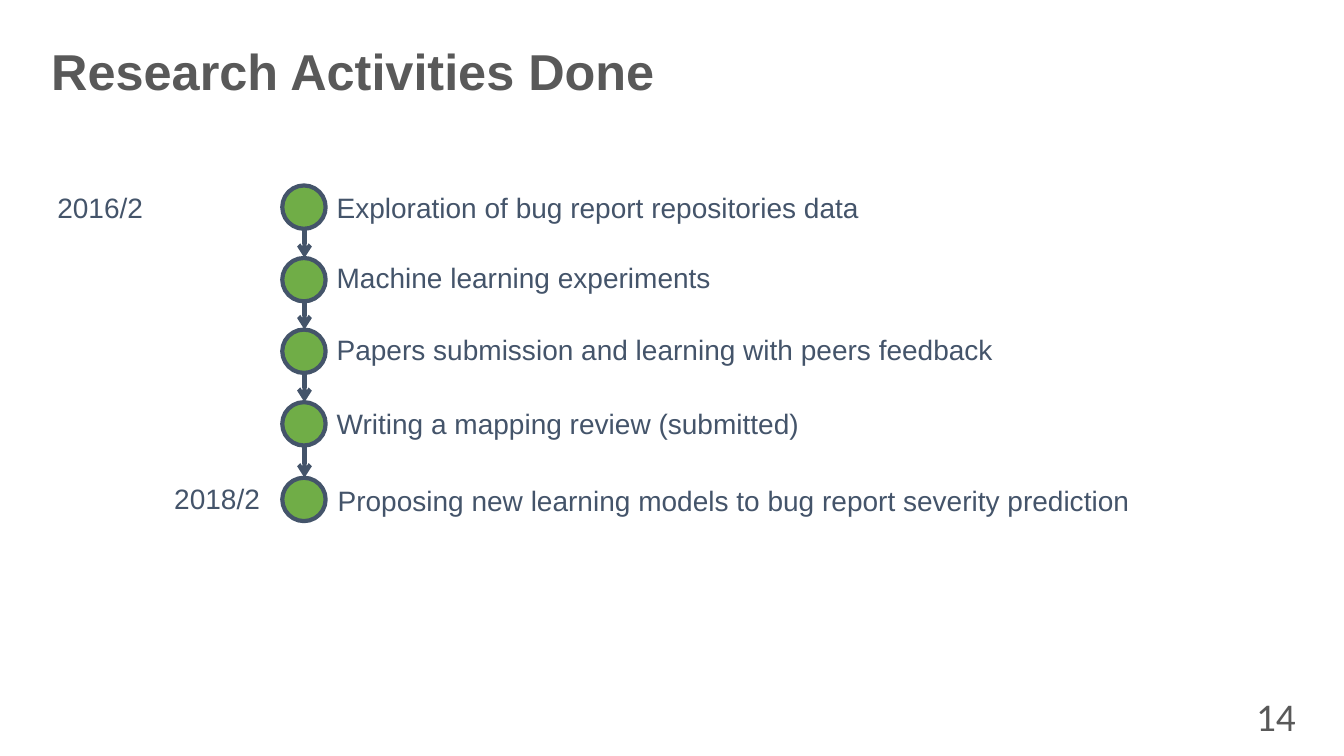
from dataclasses import dataclass
from itertools import pairwise

from lxml import etree
from pptx import Presentation
from pptx import util as u
from pptx.dml.color import RGBColor
from pptx.enum import shapes, text
from pptx.oxml.ns import qn
from pptx.slide import Slide


@dataclass(frozen=True)
class Theme:
    heading: RGBColor = RGBColor(0x59, 0x59, 0x59)
    ink: RGBColor = RGBColor(0x44, 0x54, 0x6A)
    done: RGBColor = RGBColor(0x70, 0xAD, 0x47)
    title_size: int = 36
    body_size: int = 20
    number_size: int = 28
    body_font: str = "Arial"
    number_font: str = "Calibri"
    line_width: int = 3


@dataclass(frozen=True)
class Label:
    words: str
    left: float
    top: float
    width: float
    height: float = 0.44
    size: int = Theme.body_size
    color: RGBColor = Theme.ink
    font: str = Theme.body_font
    bold: bool = False
    wrap: bool = False
    anchor: text.MSO_ANCHOR = text.MSO_ANCHOR.TOP
    align: text.PP_ALIGN = text.PP_ALIGN.LEFT
    spacing: float = 1.0


@dataclass(frozen=True)
class Milestone:
    top: float
    label: Label


THEME = Theme()
NODE_LEFT = 2.8
NODE_SIZE = 0.43
NODE_CENTER = 3.02
LABEL_LEFT = 3.24

MILESTONES = [
    Milestone(1.84, Label("Exploration of bug report repositories data", LABEL_LEFT, 1.84, 5.42)),
    Milestone(2.56, Label("Machine learning experiments", LABEL_LEFT, 2.54, 3.94)),
    Milestone(3.27, Label("Papers submission and learning with peers feedback", LABEL_LEFT, 3.25, 6.84)),
    Milestone(3.99, Label("Writing a mapping review (submitted)", LABEL_LEFT, 3.98, 4.9)),
    Milestone(4.74, Label("Proposing new learning models to bug report severity prediction", 3.25, 4.75, 8.24)),
]

TITLE = Label(
    "Research Activities Done", 0.41, 0.4, 12.01, 0.67, THEME.title_size, THEME.heading,
    bold=True, wrap=True, anchor=text.MSO_ANCHOR.MIDDLE, spacing=0.9,
)
DATES = [Label("2016/2", 0.47, 1.84, 1.07), Label("2018/2", 1.63, 4.73, 1.07, wrap=True)]
PAGE_NUMBER = Label(
    "14", 11.91, 6.9, 1.04, 0.4, THEME.number_size, THEME.heading, THEME.number_font,
    wrap=True, anchor=text.MSO_ANCHOR.MIDDLE, align=text.PP_ALIGN.RIGHT,
)


def add_label(page: Slide, label: Label) -> None:
    box = page.shapes.add_textbox(
        u.Inches(label.left), u.Inches(label.top), u.Inches(label.width), u.Inches(label.height)
    )
    frame = box.text_frame
    frame.word_wrap = label.wrap
    frame.vertical_anchor = label.anchor
    para = frame.paragraphs[0]
    para.alignment = label.align
    para.line_spacing = label.spacing
    span = para.add_run()
    span.text = label.words
    span.font.name = label.font
    span.font.size = u.Pt(label.size)
    span.font.bold = label.bold
    span.font.color.rgb = label.color


def add_node(page: Slide, top: float) -> None:
    node = page.shapes.add_shape(
        shapes.MSO_SHAPE.OVAL,
        u.Inches(NODE_LEFT), u.Inches(top), u.Inches(NODE_SIZE), u.Inches(NODE_SIZE),
    )
    node.shadow.inherit = False
    node.fill.solid()
    node.fill.fore_color.rgb = THEME.done
    node.line.color.rgb = THEME.ink
    node.line.width = u.Pt(THEME.line_width)


def add_arrow(page: Slide, start: float, end: float) -> None:
    arrow = page.shapes.add_connector(
        shapes.MSO_CONNECTOR.STRAIGHT,
        u.Inches(NODE_CENTER), u.Inches(start), u.Inches(NODE_CENTER), u.Inches(end),
    )
    arrow.line.color.rgb = THEME.ink
    arrow.line.width = u.Pt(THEME.line_width)
    etree.SubElement(arrow.line._get_or_add_ln(), qn("a:tailEnd"), type="arrow")
    etree.SubElement(arrow._element.spPr, qn("a:effectLst"))


def main() -> None:
    deck = Presentation()
    deck.slide_width = u.Inches(13.33)
    deck.slide_height = u.Inches(7.5)
    page = deck.slides.add_slide(deck.slide_layouts[6])

    add_label(page, TITLE)
    for milestone in MILESTONES:
        add_node(page, milestone.top)
        add_label(page, milestone.label)
    for upper, lower in pairwise(MILESTONES):
        add_arrow(page, upper.top + NODE_SIZE, lower.top)
    for label in [*DATES, PAGE_NUMBER]:
        add_label(page, label)

    deck.save("out.pptx")


if __name__ == "__main__":
    main()
